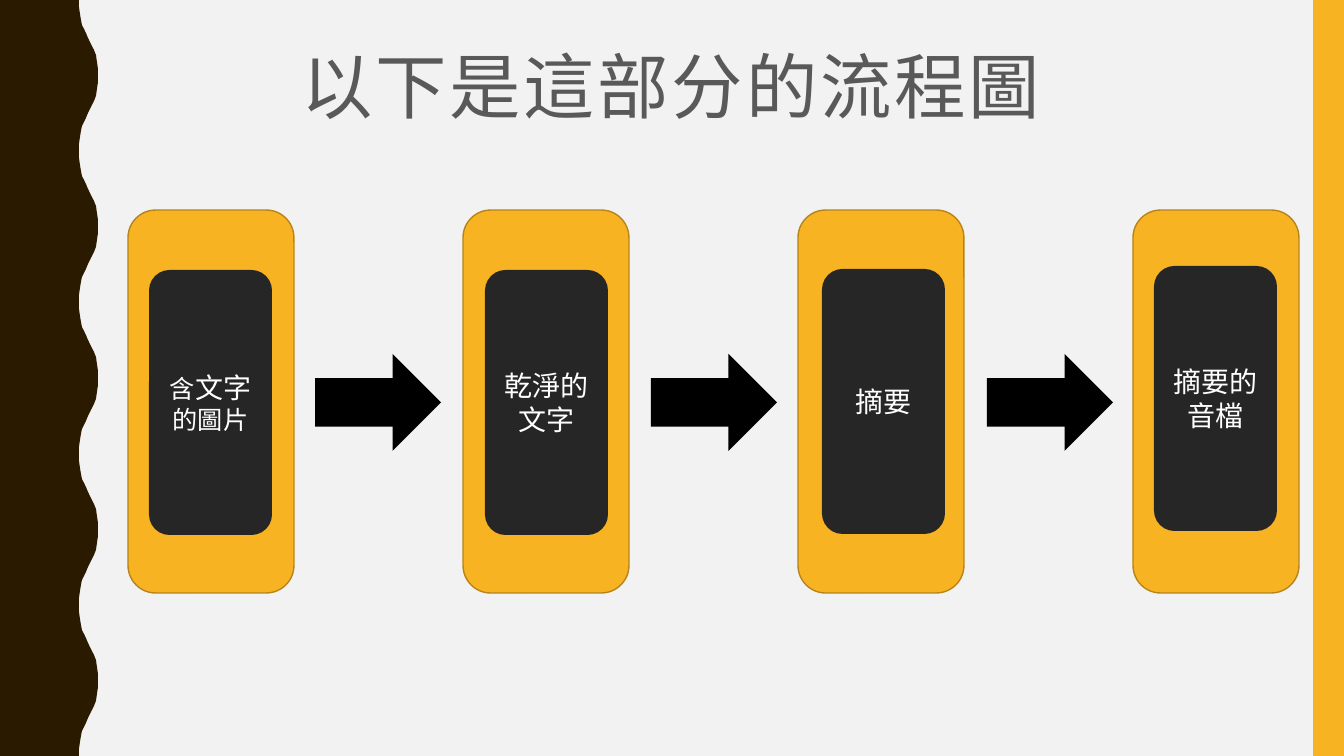
from lxml.etree import SubElement
from pptx import Presentation
from pptx.dml.color import RGBColor as Rgb
from pptx.enum.shapes import MSO_SHAPE as Kind
from pptx.enum.text import MSO_ANCHOR as Anchor, MSO_AUTO_SIZE as Fit, PP_ALIGN as Align
from pptx.oxml.ns import qn
from pptx.util import Pt

PX = 914400 / 100.8
WIDTH, HEIGHT = 1344, 756
FONT = "Roboto Condensed"
COLORS = {
    "back": "F2F2F2", "wave": "2A1A00", "gold": "F8B323", "edge": "B7841A",
    "title": "595959", "arrow": "000000", "card": "262626", "text": "FFFFFF",
}
CURVE = [(79, 0), (79, 7), (80, 14), (81, 20), (82, 25), (84, 29), (86, 33), (88, 38),
         (90, 42), (92, 46), (94, 50), (96, 55), (97, 62), (98, 69), (98, 76)]
WAVES = 5
STEPS = [
    (149, 270, [("含", 18), ("文字", 20), ("的圖片", 18)]),
    (485, 270, [("乾淨的文字", 20)]),
    (822, 269, [("摘要", 20)]),
    (1154, 266, [("摘要的音檔", 20)]),
]


def emu(px):
    return round(px * PX)


def color(name):
    return Rgb.from_string(COLORS[name])


class Deck:
    def __init__(self):
        self.prs = Presentation()
        self.prs.slide_width, self.prs.slide_height = emu(WIDTH), emu(HEIGHT)
        self.slide = self.prs.slides.add_slide(self.prs.slide_layouts[5])
        back = self.slide.background.fill
        back.solid()
        back.fore_color.rgb = color("back")

    def paint(self, shape, fill, line=None):
        shape.shadow.inherit = False
        shape.fill.solid()
        shape.fill.fore_color.rgb = color(fill)
        if line:
            shape.line.color.rgb = color(line)
            shape.line.width = Pt(1)
        else:
            shape.line.fill.background()
        return shape

    def style(self, run, size, tint):
        run.font.size = Pt(size)
        run.font.name = FONT
        run.font.color.rgb = color(tint)
        SubElement(run._r.get_or_add_rPr(), qn("a:ea")).set("typeface", FONT)

    def title(self, text, box):
        shape = self.slide.shapes.title
        shape.left, shape.top, shape.width, shape.height = map(emu, box)
        frame = shape.text_frame
        frame.text = text
        frame.word_wrap = True
        frame.auto_size = Fit.NONE
        frame.vertical_anchor = Anchor.TOP
        para = frame.paragraphs[0]
        para.alignment = Align.CENTER
        para.line_spacing = 0.9
        run = para.runs[0]
        self.style(run, 51, "title")
        run._r.get_or_add_rPr().set("spc", "200")

    def shape(self, kind, box, fill, line=None):
        shape = self.slide.shapes.add_shape(kind, *map(emu, box))
        return self.paint(shape, fill, line)

    def card(self, box, parts):
        frame = self.shape(Kind.ROUNDED_RECTANGLE, box, "card").text_frame
        frame.word_wrap = True
        frame.vertical_anchor = Anchor.MIDDLE
        para = frame.paragraphs[0]
        para.alignment = Align.CENTER
        for text, size in parts:
            run = para.add_run()
            run.text = text
            self.style(run, size, "text")

    def wave(self):
        span = HEIGHT / WAVES
        cycle = CURVE + [(x, span - y) for x, y in CURVE[-2:0:-1]]
        points = [(x, round(i * span + y)) for i in range(WAVES) for x, y in cycle]
        path = self.slide.shapes.build_freeform(0, 0, scale=PX)
        path.add_line_segments(points + [(CURVE[0][0], HEIGHT), (0, HEIGHT)], close=True)
        self.paint(path.convert_to_shape(), "wave")

    def save(self):
        self.prs.save("out.pptx")


def main():
    deck = Deck()
    deck.wave()
    deck.shape(Kind.RECTANGLE, (1313, 0, 31, HEIGHT), "gold")
    deck.title("以下是這部分的流程圖", (110, 47, 1122, 164))
    for i in range(len(STEPS)):
        deck.shape(Kind.ROUNDED_RECTANGLE, (128 + 335 * i, 210, 166, 383), "gold", "edge")
    for i in range(len(STEPS) - 1):
        deck.shape(Kind.RIGHT_ARROW, (315 + 336 * i, 354, 126, 97), "arrow")
    for left, top, parts in STEPS:
        deck.card((left, top, 123, 265), parts)
    deck.save()


if __name__ == "__main__":
    main()
